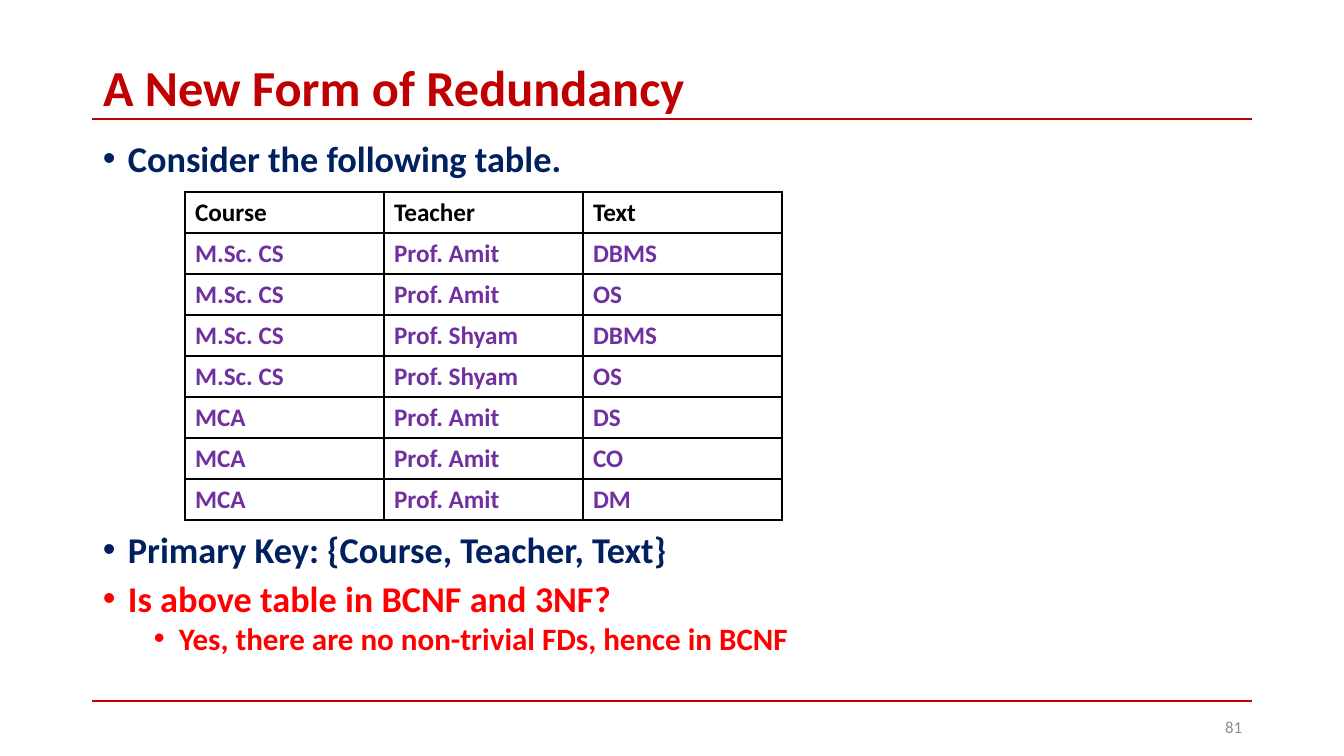
"""Builds a slide on a new form of redundancy in a database table."""
from lxml.etree import SubElement
from pptx import Presentation
from pptx.dml.color import RGBColor
from pptx.enum.shapes import MSO_CONNECTOR
from pptx.enum.text import MSO_ANCHOR, MSO_AUTO_SIZE, PP_ALIGN
from pptx.oxml.ns import qn
from pptx.util import Pt

CRIMSON = RGBColor(0xC0, 0x00, 0x00)
NAVY = RGBColor(0x00, 0x20, 0x60)
RED = RGBColor(0xFF, 0x00, 0x00)
PURPLE = RGBColor(0x70, 0x30, 0xA0)
BLACK = RGBColor(0x00, 0x00, 0x00)
GRAY = RGBColor(0x8C, 0x8C, 0x8C)

COURSES = [
    ("Course", "Teacher", "Text"),
    ("M.Sc. CS", "Prof. Amit", "DBMS"),
    ("M.Sc. CS", "Prof. Amit", "OS"),
    ("M.Sc. CS", "Prof. Shyam", "DBMS"),
    ("M.Sc. CS", "Prof. Shyam", "OS"),
    ("MCA", "Prof. Amit", "DS"),
    ("MCA", "Prof. Amit", "CO"),
    ("MCA", "Prof. Amit", "DM"),
]


def px(length):
    return round(length * 914400 / 100.8)


def write(paragraph, text, size=18, color=BLACK, bold=True, align=PP_ALIGN.LEFT,
          line_spacing=1.0, before=0, bullet_at=None, level=0):
    if bullet_at is not None:
        properties = paragraph._p.get_or_add_pPr()
        properties.set("marL", str(px(bullet_at + 25)))
        properties.set("indent", str(px(-25)))
        SubElement(properties, qn("a:buFont"), typeface="Arial")
        SubElement(properties, qn("a:buChar"), char="•")
    paragraph.level = level
    paragraph.alignment = align
    paragraph.line_spacing = line_spacing
    paragraph.space_before = Pt(before)
    run = paragraph.add_run()
    run.text = text
    run.font.name = "Calibri"
    run.font.size = Pt(size)
    run.font.bold = bold
    run.font.color.rgb = color


class LectureSlide:
    def __init__(self, deck):
        self.slide = deck.slides.add_slide(deck.slide_layouts[5])
        self.shapes = self.slide.shapes

    def title(self, text, left, top, width, height):
        heading = self.shapes.title
        heading.left, heading.top = px(left), px(top)
        heading.width, heading.height = px(width), px(height)
        frame = heading.text_frame
        frame.auto_size = MSO_AUTO_SIZE.NONE
        frame.vertical_anchor = MSO_ANCHOR.MIDDLE
        write(frame.paragraphs[0], text, size=36, color=CRIMSON, line_spacing=0.9)

    def rule(self, left, right, y):
        line = self.shapes.add_connector(
            MSO_CONNECTOR.STRAIGHT, px(left), px(y), px(right), px(y))
        line.line.color.rgb = CRIMSON
        line.line.width = Pt(1.5)
        SubElement(line._element.spPr, qn("a:effectLst"))

    def text(self, left, top, width, height, anchor=MSO_ANCHOR.TOP):
        frame = self.shapes.add_textbox(px(left), px(top), px(width), px(height)).text_frame
        frame.word_wrap = True
        frame.vertical_anchor = anchor
        return frame

    def bullets(self, left, top, width, height, points):
        frame = self.text(left, top, width, height)
        for index, (text, level, color) in enumerate(points):
            paragraph = frame.add_paragraph() if index else frame.paragraphs[0]
            before = (5 if level else 10) if index else 0
            write(paragraph, text, size=22.2 if level else 25.9, color=color,
                  line_spacing=0.8, before=before, bullet_at=51 * level, level=level)

    def border(self, cell):
        properties = cell._tc.get_or_add_tcPr()
        for side in ("lnL", "lnR", "lnT", "lnB"):
            edge = SubElement(properties, qn(f"a:{side}"), w=str(Pt(1)))
            fill = SubElement(edge, qn("a:solidFill"))
            SubElement(fill, qn("a:srgbClr"), val=str(BLACK))

    def table(self, left, top, column_width, row_height, rows):
        grid = self.shapes.add_table(
            len(rows), len(rows[0]), px(left), px(top),
            px(column_width * len(rows[0])), px(row_height * len(rows))).table
        grid.horz_banding = False
        for row_index, row in enumerate(rows):
            for column_index, text in enumerate(row):
                cell = grid.cell(row_index, column_index)
                self.border(cell)
                cell.fill.background()
                write(cell.text_frame.paragraphs[0], text,
                      color=PURPLE if row_index else BLACK)


def main():
    deck = Presentation()
    deck.slide_width, deck.slide_height = px(1344), px(756)
    page = LectureSlide(deck)
    for y in (119, 701):
        page.rule(92, 1252, y)
    page.title("A New Form of Redundancy", 93, 61, 1159, 58)
    page.bullets(93, 140, 1159, 45, [("Consider the following table.", 0, NAVY)])
    page.table(185, 192, 199, 41, COURSES)
    page.bullets(93, 531, 1159, 150, [
        ("Primary Key: {Course, Teacher, Text}", 0, NAVY),
        ("Is above table in BCNF and 3NF?", 0, RED),
        ("Yes, there are no non-trivial FDs, hence in BCNF", 1, RED),
    ])
    page_number = page.text(950, 707, 302, 40, anchor=MSO_ANCHOR.MIDDLE)
    write(page_number.paragraphs[0], "81", size=12, color=GRAY, bold=False,
          align=PP_ALIGN.RIGHT)
    deck.save("out.pptx")


if __name__ == "__main__":
    main()
